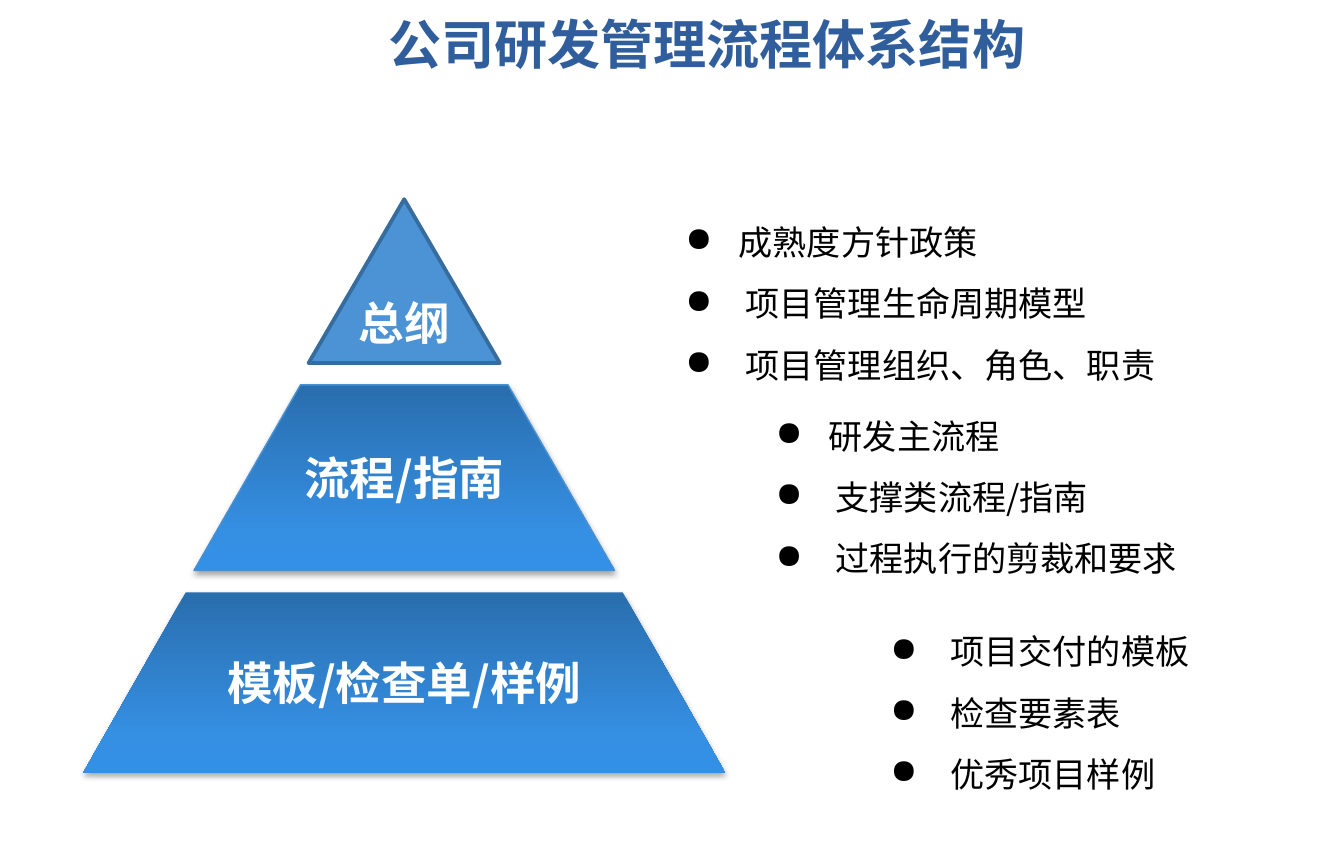
"""Build the slide on the layers of an R&D process system."""
from lxml.etree import SubElement
from pptx import Presentation
from pptx.dml.color import RGBColor
from pptx.enum.shapes import MSO_SHAPE as Shape
from pptx.enum.text import MSO_ANCHOR as Anchor, PP_ALIGN as Align
from pptx.oxml import parse_xml
from pptx.oxml.ns import nsdecls, qn
from pptx.util import Inches, Pt

FONT = "Noto Sans CJK SC"
WHITE = RGBColor(0xFF, 0xFF, 0xFF)
BLACK = RGBColor(0, 0, 0)
NAVY = RGBColor(0x30, 0x5E, 0x9C)
SKY = RGBColor(0x4B, 0x93, 0xD5)
STEEL = RGBColor(0x37, 0x6D, 0x9E)
EDGE = RGBColor(0x46, 0x90, 0xD4)
STOPS = [(0, RGBColor(0x29, 0x6E, 0xAE)), (80, RGBColor(0x35, 0x8F, 0xE2)),
         (100, RGBColor(0x32, 0x90, 0xE7))]

TITLE = "公司研发管理流程体系结构"
AXIS = 2.96
PEAK = ("总纲", 1.46, 1.4, 1.2)
TIERS = [
    ("模板/检查单/样例", 4.34, 5.66, 1.6, 2.35, None),
    ("流程/指南", 2.82, 4.18, 0.76, 1.54, EDGE),
]
NOTES = [
    (4.92, 1.42, 3.84, [("成熟度方针政策", 0.39), ("项目管理生命周期模型", 0.44),
                        ("项目管理组织、角色、职责", 0.44)]),
    (5.58, 2.84, 3.33, [("研发主流程", 0.39), ("支撑类流程/指南", 0.44),
                        ("过程执行的剪裁和要求", 0.44)]),
    (6.42, 4.42, 3.33, [("项目交付的模板", 0.44), ("检查要素表", 0.44),
                        ("优秀项目样例", 0.44)]),
]


def style(para, size, color, bold=False):
    font = para.font
    font.name, font.size, font.bold = FONT, Pt(size), bold
    font.color.rgb = color
    latin = para._p.find(".//" + qn("a:latin"))
    latin.addnext(parse_xml(f'<a:ea {nsdecls("a")} typeface="{FONT}"/>'))


def label(shape, text):
    frame = shape.text_frame
    frame.word_wrap = False
    frame.vertical_anchor = Anchor.MIDDLE
    para = frame.paragraphs[0]
    para.text, para.alignment = text, Align.CENTER
    style(para, 24, WHITE, True)


def shade(shape):
    stops = "".join(f'<a:gs pos="{pos * 1000}"><a:srgbClr val="{color}"/></a:gs>'
                    for pos, color in STOPS)
    props = shape._element.spPr
    props.find(qn("a:custGeom")).addnext(parse_xml(
        f'<a:gradFill {nsdecls("a")} rotWithShape="1"><a:gsLst>{stops}</a:gsLst>'
        '<a:lin ang="5400000" scaled="0"/></a:gradFill>'))
    props.find(qn("a:effectLst")).append(parse_xml(
        f'<a:outerShdw {nsdecls("a")} blurRad="{Pt(3.1)}" dist="{Pt(1.8)}" '
        'dir="5400000" rotWithShape="0"><a:srgbClr val="000000">'
        '<a:alpha val="35000"/></a:srgbClr></a:outerShdw>'))


def add_tier(shapes, text, top, base, near, far, edge):
    pts = [(AXIS - near, top), (AXIS + near, top),
           (AXIS + far, base), (AXIS - far, base)]
    pts = [(Inches(x), Inches(y)) for x, y in pts]
    pen = shapes.build_freeform(*pts[0])
    pen.add_line_segments(pts[1:], close=True)
    tier = pen.convert_to_shape()
    tier.shadow.inherit = False
    if edge:
        tier.line.color.rgb, tier.line.width = edge, Pt(0.75)
    else:
        tier.line.fill.background()
    shade(tier)
    label(tier, text)


def add_peak(shapes, text, top, wide, high):
    peak = shapes.add_shape(Shape.ISOSCELES_TRIANGLE, Inches(AXIS - wide / 2),
                            Inches(top), Inches(wide), Inches(high))
    peak.shadow.inherit = False
    peak.fill.solid()
    peak.fill.fore_color.rgb = SKY
    peak.line.color.rgb, peak.line.width = STEEL, Pt(2)
    label(peak, text)


def add_notes(shapes, left, top, wide, items):
    box = shapes.add_textbox(Inches(left), Inches(top), Inches(wide), Inches(1.45))
    frame = box.text_frame
    frame.word_wrap = True
    for i, (text, gap) in enumerate(items):
        para = frame.paragraphs[0] if i == 0 else frame.add_paragraph()
        para.text = text
        props = para._p.get_or_add_pPr()
        props.set("marL", str(Inches(gap)))
        props.set("indent", str(-Inches(gap)))
        SubElement(props, qn("a:buChar")).set("char", "●")
        para.line_spacing = Pt(32.4)
        style(para, 18, BLACK)


def add_title(shapes):
    box = shapes.add_textbox(Inches(2.67), Inches(0.19), Inches(5.01), Inches(0.33))
    box.text_frame.word_wrap = True
    para = box.text_frame.paragraphs[0]
    para.text, para.alignment = TITLE, Align.CENTER
    para.line_spacing = Pt(22.2)
    style(para, 28, NAVY, True)


def main():
    deck = Presentation()
    deck.slide_width, deck.slide_height = Inches(9.84), Inches(6.3)
    shapes = deck.slides.add_slide(deck.slide_layouts[6]).shapes
    for tier in TIERS:
        add_tier(shapes, *tier)
    add_peak(shapes, *PEAK)
    for note in NOTES:
        add_notes(shapes, *note)
    add_title(shapes)
    deck.save("out.pptx")


if __name__ == "__main__":
    main()
